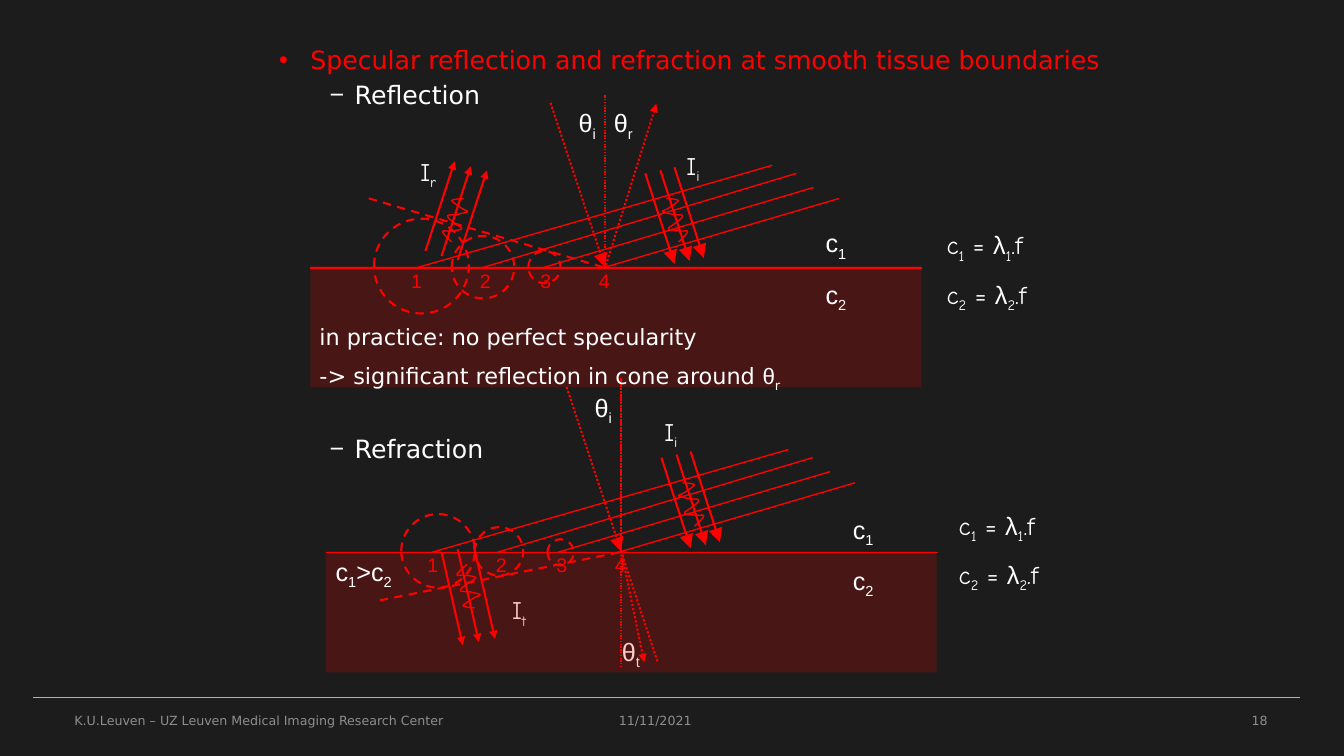
from lxml import etree
from pptx import Presentation, util as u
from pptx.dml.color import RGBColor
from pptx.enum import dml, shapes, text
from pptx.oxml import ns

PX = 9144  # EMU in one px, 100 px to the inch
RED, WHITE, GREY, RULE, DARK = "FF0000", "FFFFFF", "8E8E8E", "B2B2B2", "1C1C1C"
SANS, ARIAL, COMIC = "DejaVu Sans", "Arial", "Comic Neue"
DASH, DOT = dml.MSO_LINE.DASH, dml.MSO_LINE.ROUND_DOT
REFRACTION = (16, 282)  # shift from the upper diagram to the lower one

# Start and control points of the cubic curves of one pulse
PULSE = [(661, 197),
         (667, 197), (672, 198), (673, 199), (673, 200), (667, 204), (664, 206),
         (662, 208), (656, 209), (657, 210), (658, 211), (665, 212), (668, 213),
         (672, 213), (677, 213), (677, 214), (678, 216), (672, 220), (669, 222),
         (667, 224), (662, 226), (663, 227), (663, 228), (670, 229), (673, 229),
         (677, 230), (683, 228), (682, 230), (682, 231), (678, 236), (673, 240)]


def color(value):
    return RGBColor.from_string(value)


def px(*values):
    return [u.Emu(round(v * PX)) for v in values]


def sub(parent, tag, **attrs):
    return etree.SubElement(parent, ns.qn(tag), attrs)


def stroke(shape, width, dash=None, c=RED):
    shape.line.color.rgb = color(c)
    shape.line.width = u.Pt(width)
    if dash:
        shape.line.dash_style = dash


def line(s, x1, y1, x2, y2, width=1, dash=None, arrow=None, c=RED):
    cx = s.shapes.add_connector(shapes.MSO_CONNECTOR.STRAIGHT, *px(x1, y1, x2, y2))
    stroke(cx, width, dash, c)
    if arrow:
        sub(cx.line._get_or_add_ln(), "a:tailEnd", type="triangle", w=arrow, len=arrow)
    sub(cx._element.spPr, "a:effectLst")


def circle(s, x, y, size):
    sp = s.shapes.add_shape(shapes.MSO_SHAPE.OVAL, *px(x, y, size, size))
    sp.shadow.inherit = False
    sp.fill.background()
    stroke(sp, 1.5, DASH)


def tissue(s, x, y):
    sp = s.shapes.add_shape(shapes.MSO_SHAPE.RECTANGLE, *px(x, y, 606, 120))
    sp.shadow.inherit = False
    sp.fill.solid()
    sp.fill.fore_color.rgb = color(RED)
    fill = sp._element.spPr.find(ns.qn("a:solidFill"))
    sub(fill[0], "a:alpha", val="20000")
    sp.line.fill.background()


def pulse(s, x, y, flip_x=1, flip_y=1, lean=0):
    x0, y0 = PULSE[0]
    pts = [px(x + flip_x * (a - x0) + lean * (b - y0), y + flip_y * (b - y0))
           for a, b in PULSE]
    fb = s.shapes.build_freeform(*pts[0])
    fb.add_line_segments(pts[1:], close=False)
    sp = fb.convert_to_shape()
    # Every three segments become the control points of one curve
    segments = list(sp._element.iter(ns.qn("a:lnTo")))
    path = segments[0].getparent()
    for i in range(0, len(segments), 3):
        curve = sub(path, "a:cubicBezTo")
        for segment in segments[i:i + 3]:
            curve.append(segment[0])
            path.remove(segment)
    sp.shadow.inherit = False
    sp.fill.background()
    stroke(sp, 1)


def add_run(p, content, size, font, c, lowered=False):
    r = p.add_run()
    r.text = content
    r.font.size = u.Pt(size)
    r.font.name = font
    r.font.color.rgb = color(c)
    if lowered:
        r._r.get_or_add_rPr().set("baseline", "-25000")


def box(s, x, y, w, h, wrap=True):
    tf = s.shapes.add_textbox(*px(x, y, w, h)).text_frame
    tf.word_wrap = wrap
    return tf


def label(s, x, y, w, runs, size=18, c=WHITE, wrap=False):
    p = box(s, x, y, w, 40, wrap).paragraphs[0]
    for content, font, lowered in runs:
        add_run(p, content, size, font, c, lowered)


def symbol(s, x, y, name, index, font=ARIAL):
    label(s, x, y, 42, [(name, font, False), (index, font, True)], wrap=name == "θ")


def speeds(s, x, y, formula_x, formula_y, step):
    for i, n in enumerate("12"):
        symbol(s, x, y + 51 * i, "c", n)
        label(s, formula_x, formula_y + step * i, 116,
              [("c", COMIC, False), (n, COMIC, True), (" = ", COMIC, False),
               ("λ", ARIAL, False), (n, COMIC, True), (".f", COMIC, False)], wrap=True)


def bullet(p, mark, content, c, left, hang, before=0):
    pPr = p._p.get_or_add_pPr()
    pPr.set("marL", str(left * PX))
    pPr.set("indent", str(-hang * PX))
    sub(pPr, "a:buFont", typeface=ARIAL)
    sub(pPr, "a:buChar", char=mark)
    if before:
        p.space_before = u.Pt(before)
    add_run(p, content, 18, SANS, c)


def footer(s, x, w, content, align=text.PP_ALIGN.LEFT):
    tf = box(s, x, 695, w, 40)
    tf.vertical_anchor = text.MSO_ANCHOR.MIDDLE
    tf.paragraphs[0].alignment = align
    add_run(tf.paragraphs[0], content, 9, SANS, GREY)


def incident_wave(s, dx=0, dy=0):
    """Boundary, beams, incident pulse and numbered points of one diagram."""
    line(s, 307 + dx, 266 + dy, 914 + dx, 266 + dy)
    for x1, x2, y2 in ((597, 832, 197), (537, 807, 186), (477, 790, 172), (412, 766, 164)):
        line(s, x1 + dx, 266 + dy, x2 + dx, y2 + dy)
    pulse(s, 661 + dx, 197 + dy)
    for x, y in ((669, 166), (655, 169), (640, 172)):
        line(s, x + dx, y + dy, x + 29 + dx, y + 90 + dy, 1.5, arrow="lg")
    line(s, 600 + dx, 265 + dy, 600 + dx, 94 + dy, dash=DOT)
    for n, x in zip("1234", (398, 466, 526, 584)):
        label(s, x + dx, 262 + dy, 31, [(n, ARIAL, False)], 14, RED)
    line(s, 546 + dx, 102 + dy, 600 + dx, 265 + dy, 1.5, DOT, "lg")
    symbol(s, 564 + dx, 102 + dy, "θ", "i")


def reflection(s):
    incident_wave(s)
    line(s, 598, 265, 363, 196, 1.5, DASH)
    for x, y, size in ((524, 249, 32), (448, 234, 62), (371, 217, 94)):
        circle(s, x, y, size)
    for x, y in ((422, 249), (438, 254), (454, 258)):
        line(s, x, y, x + 29, y - 89, 1.5, arrow="med")
    pulse(s, 460, 197, flip_x=-1)
    line(s, 601, 263, 651, 103, 1.5, DOT, "med")
    symbol(s, 671, 144, "I", "i", COMIC)
    symbol(s, 407, 150, "I", "r", COMIC)
    symbol(s, 599, 102, "θ", "r")
    tissue(s, 308, 264)
    speeds(s, 809, 221, 929, 223, 49)


def refraction(s):
    incident_wave(s, *REFRACTION)
    symbol(s, 649, 408, "I", "i", COMIC)
    for x, y, size in ((543, 535, 26), (471, 523, 48), (398, 510, 73)):
        circle(s, x, y, size)
    symbol(s, 498, 585, "I", "t", COMIC)
    line(s, 614, 548, 375, 596, 1.5, DASH)
    for x, y in ((438, 548), (454, 545), (470, 542)):
        line(s, x, y, x + 21, y + 92, 1.5, arrow="med")
    pulse(s, 471, 603, flip_x=-1, flip_y=-1, lean=0.1)
    line(s, 616, 662, 616, 375, dash=DOT)
    symbol(s, 607, 626, "θ", "t")
    line(s, 616, 546, 639, 657, 1.5, DOT, "med")
    line(s, 616, 547, 652, 656, 1.5, DOT)
    tissue(s, 323, 547)
    speeds(s, 836, 505, 941, 501, 49)
    label(s, 323, 547, 79, [("c", ARIAL, False), ("1", ARIAL, True),
                            (">c", ARIAL, False), ("2", ARIAL, True)])


def main():
    prs = Presentation()
    prs.slide_width, prs.slide_height = px(1333, 750)
    s = prs.slides.add_slide(prs.slide_layouts[6])
    s.background.fill.solid()
    s.background.fill.fore_color.rgb = color(DARK)

    # Footer
    line(s, 33, 692, 1289, 692, 0.75, c=RULE)
    footer(s, 604, 311, "11/11/2021")
    footer(s, 64, 422, "K.U.Leuven – UZ Leuven Medical Imaging Research Center")
    footer(s, 956, 311, "18", text.PP_ALIGN.RIGHT)

    # Headings
    tf = box(s, 217, 39, 900, 641)
    bullet(tf.paragraphs[0], "•", "Specular reflection and refraction at smooth tissue boundaries",
           RED, 81, 31)
    bullet(tf.add_paragraph(), "−", "Reflection", WHITE, 125, 25, 3.6)
    bullet(tf.add_paragraph(), "−", "Refraction", WHITE, 125, 25, 231)

    # Diagrams
    reflection(s)
    refraction(s)

    # Remark on specularity
    tf = box(s, 307, 305, 609, 85)
    p = tf.paragraphs[0]
    p.line_spacing = 1.4
    add_run(p, "in practice: no perfect specularity", 16, SANS, WHITE)
    p = tf.add_paragraph()
    p.line_spacing = 1.4
    add_run(p, "-> significant reflection in cone around ", 16, SANS, WHITE)
    add_run(p, "θ", 16, ARIAL, WHITE)
    add_run(p, "r", 16, SANS, WHITE, lowered=True)

    prs.save("out.pptx")


if __name__ == "__main__":
    main()
